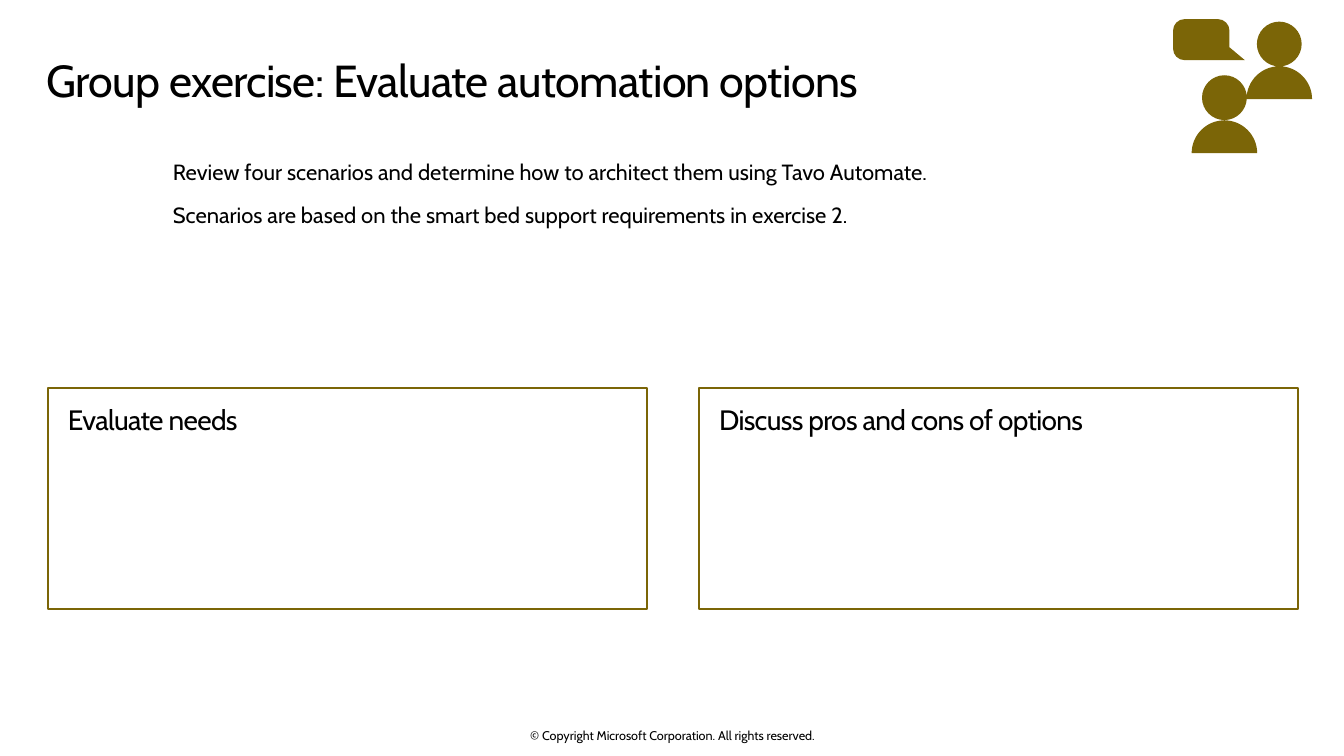
from lxml.etree import SubElement
from pptx import Presentation
from pptx.dml.color import RGBColor
from pptx.enum.shapes import MSO_SHAPE as Shape
from pptx.enum.text import MSO_ANCHOR as Anchor, PP_ALIGN as Align
from pptx.oxml.ns import qn
from pptx.util import Pt

BLACK = RGBColor(0, 0, 0)
OLIVE = RGBColor(0x7B, 0x65, 0x07)
FACE = "Cabin"

TITLE = ["Group exercise: Evaluate automation options"]
INTRO = [
    "Review four scenarios and determine how to architect them using Tavo Automate.",
    "Scenarios are based on the smart bed support requirements in exercise 2.",
]
TASKS = ["Evaluate needs", "Discuss pros and cons of options"]
NOTICE = ["© Copyright Microsoft Corporation. All rights reserved."]

# Lengths in points: left, top, width, height
TITLE_BOX = (33.12, 34.56, 892.8, 53.28)
INTRO_BOX = (123.5, 114.48, 803.52, 70.56)
NOTICE_BOX = (318.24, 519.84, 324, 10.8)
TASK_BOX = (34.3, 277.2, 427.68, 157.68)
TASK_STEP = 465.12
TRACK = -0.47

# Icon: head and shoulder centres of each person, and the speech bubble
PEOPLE = [(874.6, 69.8, 109.4), (913.8, 31.5, 70.8)]
HEAD, BODY = 16, 23.4
BUBBLE = (837.9, 13.7, 878.2, 43)
CURVE = 8.2
TAIL = [(878.2, 33.8), (889.2, 43)]
UNITS = 100
BEND = 0.55


def fill_text(shape, lines, size, inset=(0, 0, 0, 0), track=0,
              anchor=Anchor.TOP, **form):
    """Write the lines; form holds paragraph format values."""
    frame = shape.text_frame
    sides = ("left", "top", "right", "bottom")
    values = {f"margin_{side}": Pt(gap) for side, gap in zip(sides, inset)}
    values |= {"word_wrap": True, "vertical_anchor": anchor}
    for key, value in values.items():
        setattr(frame, key, value)
    before = form.pop("space_before", None)
    for i, line in enumerate(lines):
        para = frame.paragraphs[0] if i == 0 else frame.add_paragraph()
        look = {"alignment": Align.LEFT, **form}
        if i and before is not None:
            look["space_before"] = before
        for key, value in look.items():
            setattr(para, key, value)
        run = para.add_run()
        run.text = line
        for key, value in {"name": FACE, "size": Pt(size)}.items():
            setattr(run.font, key, value)
        run.font.color.rgb = BLACK
        if track:
            run._r.get_or_add_rPr().set("spc", str(round(track * 100)))


def add_text(slide, box, *args, **form):
    shape = slide.shapes.add_textbox(*map(Pt, box))
    fill_text(shape, *args, **form)


def round_arcs(shape):
    """Turn each line with equal rise and run into a clockwise quarter arc."""
    x = y = 0
    for step in list(shape._element.iter(qn("a:moveTo"), qn("a:lnTo"))):
        end = step[0]
        x0, y0, x, y = x, y, int(end.get("x")), int(end.get("y"))
        dx, dy = x - x0, y - y0
        if step.tag == qn("a:moveTo") or abs(abs(dx) - abs(dy)) > 3:
            continue
        rest = 1 - BEND
        if dx * dy > 0:
            grips = [(x0 + BEND * dx, y0), (x, y0 + rest * dy)]
        else:
            grips = [(x0, y0 + BEND * dy), (x0 + rest * dx, y)]
        step.tag = qn("a:cubicBezTo")
        step.remove(end)
        for px, py in grips + [(x, y)]:
            SubElement(step, qn("a:pt"), x=str(round(px)), y=str(round(py)))


def add_icon(slide):
    left, top, right, base = BUBBLE
    loops = [[(left + CURVE, base), (left, base - CURVE), (left, top + CURVE),
              (left + CURVE, top), (right - CURVE, top),
              (right, top + CURVE)] + TAIL]
    for x, head, body in PEOPLE:
        loops.append([(x - HEAD, head), (x, head - HEAD), (x + HEAD, head),
                      (x, head + HEAD), (x - HEAD, head)])
        loops.append([(x - BODY, body), (x, body - BODY), (x + BODY, body)])
    loops = [[(x * UNITS, y * UNITS) for x, y in loop] for loop in loops]
    pen = slide.shapes.build_freeform(*loops[0][0], scale=Pt(1) / UNITS)
    for i, loop in enumerate(loops):
        if i:
            pen.move_to(*loop[0])
        pen.add_line_segments(loop[1:], close=True)
    icon = pen.convert_to_shape()
    round_arcs(icon)
    icon.shadow.inherit = False
    icon.fill.solid()
    icon.fill.fore_color.rgb = OLIVE
    icon.line.fill.background()


def add_task(slide, index, task):
    left, top, width, height = TASK_BOX
    box = (left + index * TASK_STEP, top, width, height)
    card = slide.shapes.add_shape(Shape.RECTANGLE, *map(Pt, box))
    card.shadow.inherit = False
    card.fill.background()
    card.line.color.rgb = OLIVE
    card.line.width = Pt(1.5)
    fill_text(card, [task], 20, (14.2, 10.2, 14.4, 7.2), TRACK,
              space_after=Pt(4))


def main():
    deck = Presentation()
    deck.slide_width, deck.slide_height = Pt(960), Pt(540)
    slide = deck.slides.add_slide(deck.slide_layouts[6])
    add_text(slide, NOTICE_BOX, NOTICE, 9, anchor=Anchor.MIDDLE,
             alignment=Align.CENTER)
    add_text(slide, TITLE_BOX, TITLE, 32, (0, 7.2, 11.52, 7.2), TRACK,
             line_spacing=0.9)
    add_text(slide, INTRO_BOX, INTRO, 15.7, line_spacing=Pt(17.6),
             space_before=Pt(8.8), space_after=Pt(4))
    for index, task in enumerate(TASKS):
        add_task(slide, index, task)
    add_icon(slide)
    deck.save("out.pptx")


if __name__ == "__main__":
    main()
